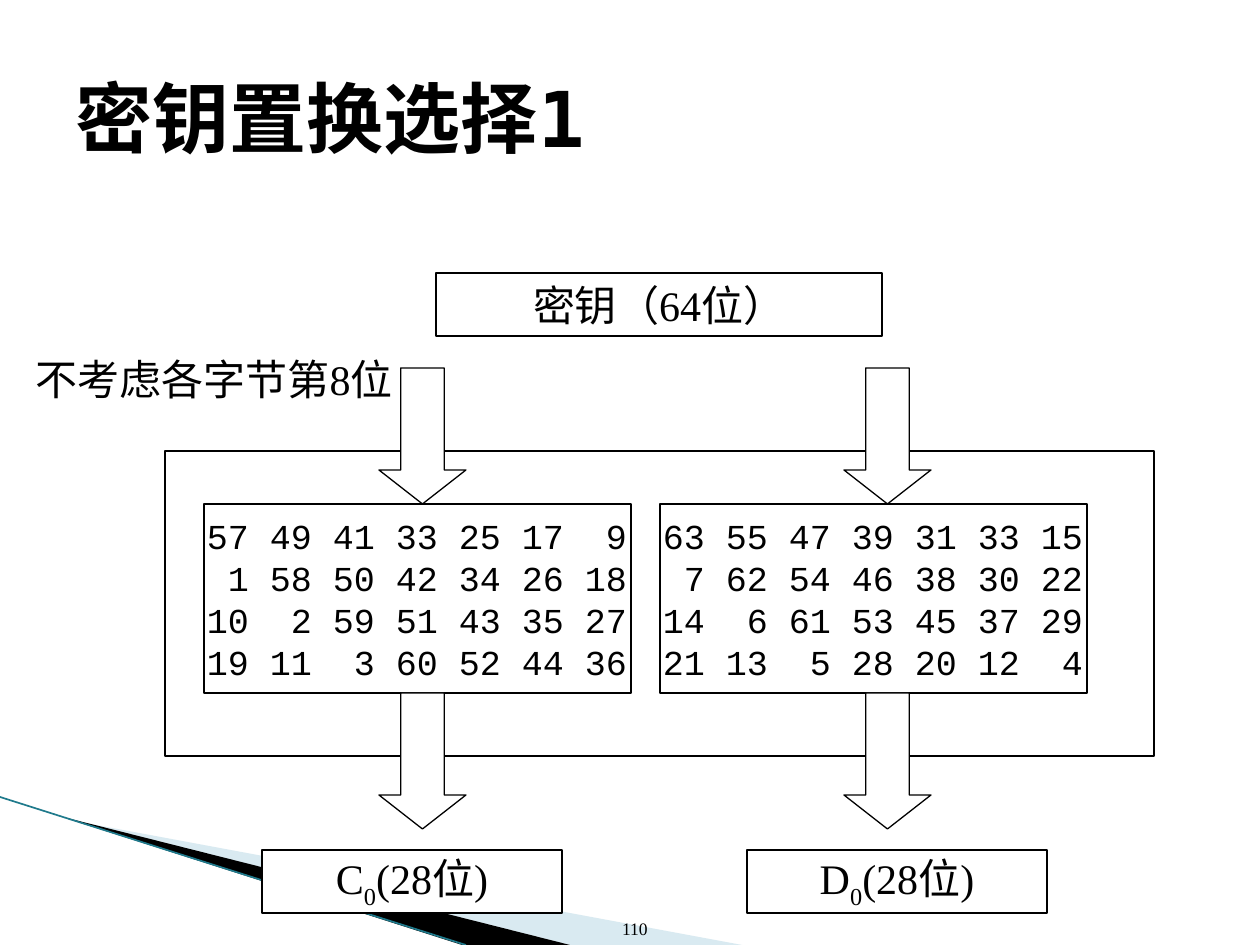
from lxml.etree import SubElement
from pptx import Presentation
from pptx.dml.color import RGBColor
from pptx.enum.shapes import MSO_CONNECTOR as Connector, MSO_SHAPE as Shape
from pptx.enum.text import MSO_ANCHOR as Anchor, PP_ALIGN as Align
from pptx.oxml.ns import qn
from pptx.util import Pt

EMU_PER_PX = 914400 / 126
COLORS = {"ink": "000000", "paper": "FFFFFF", "mist": "A0CBDC", "teal": "1F7A8C"}
SERIF = {"name": "Times New Roman", "size": Pt(24)}
MONO = {"name": "Courier New", "size": Pt(20)}
TITLE = {"name": "DejaVu Sans Mono", "size": Pt(44), "bold": True}
SMALL = {"name": "Times New Roman", "size": Pt(10)}


def px(value):
    return round(value * EMU_PER_PX)


def color(name):
    return RGBColor.from_string(COLORS[name])


class SlideBuilder:
    def __init__(self, presentation):
        self.slide = presentation.slides.add_slide(presentation.slide_layouts[5])
        self.shapes = self.slide.shapes

    def style_font(self, font, style):
        for name, value in style.items():
            setattr(font, name, value)
        font.color.rgb = color("ink")

    def fill_text(self, shape, lines, style, align=Align.CENTER, **frame_format):
        """Each line is a list of (text, baseline) runs or a plain string."""
        frame = shape.text_frame
        for name, value in frame_format.items():
            setattr(frame, name, value)
        for index, line in enumerate(lines):
            paragraph = frame.add_paragraph() if index else frame.paragraphs[0]
            paragraph.alignment = align
            for text, baseline in [(line, 0)] if isinstance(line, str) else line:
                run = paragraph.add_run()
                run.text = text
                self.style_font(run.font, style)
                if baseline:
                    run.font._element.set("baseline", str(baseline * 1000))

    def title(self, text, *box):
        shape = self.shapes.title
        shape.left, shape.top, shape.width, shape.height = map(px, box)
        self.fill_text(shape, [text], TITLE, Align.LEFT, vertical_anchor=Anchor.MIDDLE)

    def outlined(self, kind, *box):
        shape = self.shapes.add_shape(kind, *map(px, box))
        shape.shadow.inherit = False
        shape.fill.solid()
        shape.fill.fore_color.rgb = color("paper")
        shape.line.color.rgb = color("ink")
        shape.line.width = Pt(0.75)
        return shape

    def label_box(self, line, *box):
        shape = self.outlined(Shape.RECTANGLE, *box)
        self.fill_text(shape, [line], SERIF, word_wrap=False,
                       vertical_anchor=Anchor.MIDDLE)

    def number_box(self, rows, *box):
        shape = self.outlined(Shape.RECTANGLE, *box)
        lines = ["".join(f"\t{number}" for number in row) for row in rows]
        self.fill_text(shape, lines, MONO, Align.LEFT, word_wrap=True,
                       margin_left=0, margin_right=0, vertical_anchor=Anchor.MIDDLE)
        # Right-aligned tab stops line up the columns
        for paragraph in shape.text_frame.paragraphs:
            tabs = SubElement(paragraph._p.get_or_add_pPr(), qn("a:tabLst"))
            for column in range(len(rows[0])):
                SubElement(tabs, qn("a:tab"), pos=str(px(45 + 63 * column)), algn="r")

    def text(self, text, style, align, anchor, *box):
        shape = self.shapes.add_textbox(*map(px, box))
        self.fill_text(shape, [text], style, align, word_wrap=True,
                       vertical_anchor=anchor)

    def down_arrow(self, *box):
        shape = self.outlined(Shape.DOWN_ARROW, *box)
        shape.adjustments[0], shape.adjustments[1] = 0.5, 0.39

    def polygon(self, points, fill, alpha=100):
        builder = self.shapes.build_freeform(*points[0], scale=EMU_PER_PX)
        builder.add_line_segments(points[1:], close=True)
        shape = builder.convert_to_shape()
        shape.shadow.inherit = False
        shape.fill.solid()
        shape.fill.fore_color.rgb = color(fill)
        shape.line.fill.background()
        if alpha < 100:
            tint = shape._element.spPr.find(".//" + qn("a:srgbClr"))
            SubElement(tint, qn("a:alpha"), val=str(alpha * 1000))

    def line(self, *ends):
        connector = self.shapes.add_connector(Connector.STRAIGHT, *map(px, ends))
        connector.line.color.rgb = color("teal")
        connector.line.width = Pt(0.95)
        SubElement(connector._element.spPr, qn("a:effectLst"))


def main():
    presentation = Presentation()
    presentation.slide_width, presentation.slide_height = px(1260), px(945)
    builder = SlideBuilder(presentation)

    # Corner decoration
    builder.polygon([(69, 820), (742, 945), (570, 945), (69, 819)], "mist", 40)
    builder.polygon([(67, 818), (570, 945), (462, 945), (68, 819)], "ink")
    builder.line(0, 797, 466, 945)

    # Title and slide number
    builder.title("密钥置换选择1", 63, 38, 1134, 157)
    builder.text("110", SMALL, Align.RIGHT, Anchor.BOTTOM, 590, 883, 70, 62)

    # Permutation frame with its two number grids
    builder.outlined(Shape.RECTANGLE, 165, 451, 989, 305)
    left_rows = [
        (57, 49, 41, 33, 25, 17, 9),
        (1, 58, 50, 42, 34, 26, 18),
        (10, 2, 59, 51, 43, 35, 27),
        (19, 11, 3, 60, 52, 44, 36),
    ]
    right_rows = [
        (63, 55, 47, 39, 31, 33, 15),
        (7, 62, 54, 46, 38, 30, 22),
        (14, 6, 61, 53, 45, 37, 29),
        (21, 13, 5, 28, 20, 12, 4),
    ]
    for left, rows in ((204, left_rows), (660, right_rows)):
        builder.number_box(rows, left, 504, 427, 189)

    # Key and remark
    builder.text("不考虑各字节第8位", SERIF, Align.CENTER, Anchor.TOP, 23, 347, 382, 63)
    builder.label_box("密钥（64位）", 436, 273, 446, 63)

    # Arrows into and out of the grids
    for top in (368, 693):
        for left in (379, 844):
            builder.down_arrow(left, top, 87, 136)

    # Resulting halves
    for letter, left in (("C", 262), ("D", 747)):
        builder.label_box([(letter, 0), ("0", -25), ("(28位)", 0)], left, 850, 300, 63)

    presentation.save("out.pptx")


if __name__ == "__main__":
    main()
